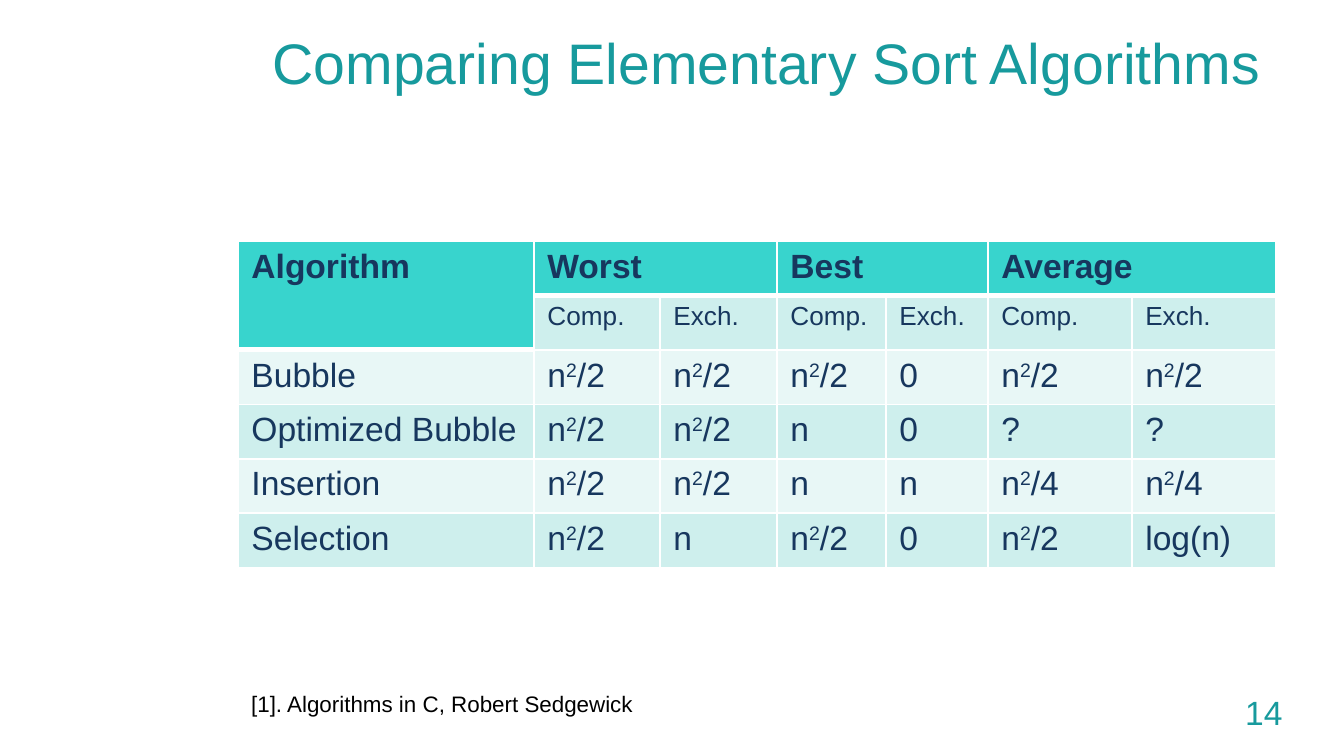
"""Build the slide that compares elementary sort algorithms."""
from dataclasses import dataclass

from lxml import etree
from pptx import Presentation
from pptx.dml.color import RGBColor
from pptx.enum.text import MSO_ANCHOR, MSO_AUTO_SIZE, PP_ALIGN
from pptx.oxml.ns import qn
from pptx.util import Pt

MIDDLE, TOP = MSO_ANCHOR.MIDDLE, MSO_ANCHOR.TOP
LEFT = PP_ALIGN.LEFT
NO_FIT = MSO_AUTO_SIZE.NONE
EMU_PER_PX = 914400 / 134.4
TITLE_ONLY_LAYOUT = 5

GROUPS = ["Worst", "Best", "Average"]
MEASURES = ["Comp.", "Exch."]
RESULTS = [
    ["Bubble", "n²/2", "n²/2", "n²/2", "0", "n²/2", "n²/2"],
    ["Optimized Bubble", "n²/2", "n²/2", "n", "0", "?", "?"],
    ["Insertion", "n²/2", "n²/2", "n", "n", "n²/4", "n²/4"],
    ["Selection", "n²/2", "n", "n²/2", "0", "n²/2", "log(n)"],
]
COLUMN_WIDTHS = [296, 126, 117, 109, 102, 144, 144]


@dataclass(frozen=True)
class Theme:
    """Colours, font and type sizes of the slide."""
    font: str = "Arial"
    accent: str = "179A9D"
    ink: str = "17375E"
    black: str = "000000"
    white: str = "FFFFFF"
    header: str = "38D4CD"
    bands: tuple = ("CEEFED", "E8F7F6")
    title_size: float = 30.6
    body_size: int = 18
    measure_size: int = 14
    note_size: int = 12
    line: int = 1
    heavy_line: int = 3


def px(length):
    """Convert pixels to EMU."""
    return round(length * EMU_PER_PX)


def write(frame, text, *, font, size, color, bold=False, anchor=TOP):
    """Write one formatted paragraph, raising each ² as a superscript 2."""
    frame.vertical_anchor = anchor
    paragraph = frame.paragraphs[0]
    paragraph.alignment = LEFT
    for part in text.replace("²", "|²|").split("|"):
        run = paragraph.add_run()
        run.text = part.replace("²", "2")
        run.font.name = font
        run.font.size = Pt(size)
        run.font.bold = bold
        run.font.color.rgb = RGBColor.from_string(color)
        if part == "²":
            run.font._element.set("baseline", "30000")


class SlideBuilder:
    """Holds the theme and the current slide."""

    def __init__(self, slide, theme):
        self.slide = slide
        self.theme = theme

    def title(self, text, left, top, width, height):
        """Place and fill the title placeholder."""
        shape = self.slide.shapes.title
        shape.left, shape.top = px(left), px(top)
        shape.width, shape.height = px(width), px(height)
        shape.text_frame.auto_size = NO_FIT
        write(shape.text_frame, text, font=self.theme.font, size=self.theme.title_size,
              color=self.theme.accent, anchor=MIDDLE)

    def label(self, text, left, top, width, height, size, color):
        """Add a text box."""
        box = self.slide.shapes.add_textbox(px(left), px(top), px(width), px(height))
        box.text_frame.word_wrap = True
        write(box.text_frame, text, font=self.theme.font, size=size, color=color)

    def cell(self, cell, fill, bottom):
        """Set the borders and fill of a table cell."""
        properties = cell._tc.get_or_add_tcPr()
        sides = {"L": self.theme.line, "R": self.theme.line, "T": self.theme.line, "B": bottom}
        for side, width in sides.items():
            line = etree.SubElement(properties, qn(f"a:ln{side}"), w=str(Pt(width)))
            solid = etree.SubElement(line, qn("a:solidFill"))
            etree.SubElement(solid, qn("a:srgbClr"), val=self.theme.white)
        cell.fill.solid()
        cell.fill.fore_color.rgb = RGBColor.from_string(fill)

    def table(self, rows, left, top, height, widths):
        """Add the table with its two header rows and banded results."""
        theme = self.theme
        table = self.slide.shapes.add_table(
            len(rows), len(widths), px(left), px(top), px(sum(widths)), px(height)).table
        table.first_row = table.horz_banding = False
        for column, width in zip(table.columns, widths):
            column.width = px(width)
        for row_index, row in enumerate(rows):
            for column_index, text in enumerate(row):
                cell = table.cell(row_index, column_index)
                header = row_index == 0 or (row_index == 1 and column_index == 0)
                self.cell(cell, theme.header if header else theme.bands[(row_index + 1) % 2],
                          theme.heavy_line if header else theme.line)
                if text:
                    write(cell.text_frame, text, font=theme.font, color=theme.ink, bold=header,
                          size=theme.measure_size if row_index == 1 else theme.body_size,
                          anchor=MIDDLE if header and column_index == 0 else TOP)
        table.cell(0, 0).merge(table.cell(1, 0))
        for first in range(1, len(widths), len(MEASURES)):
            table.cell(0, first).merge(table.cell(0, first + len(MEASURES) - 1))


def main():
    """Build and save the presentation."""
    presentation = Presentation()
    presentation.slide_width, presentation.slide_height = px(1344), px(756)
    slide = presentation.slides.add_slide(presentation.slide_layouts[TITLE_ONLY_LAYOUT])
    theme = Theme()
    builder = SlideBuilder(slide, theme)

    group_row = ["Algorithm"]
    for group in GROUPS:
        group_row += [group, ""]
    measure_row = [""] + MEASURES * len(GROUPS)

    builder.label("14", 1232, 685, 85, 54, theme.body_size, theme.accent)
    builder.title("Comparing Elementary Sort Algorithms", 259, 19, 1085, 85)
    builder.table([group_row, measure_row, *RESULTS], 238, 241, 327, COLUMN_WIDTHS)
    builder.label("[1]. Algorithms in C, Robert Sedgewick", 238, 684, 879, 40,
                  theme.note_size, theme.black)
    presentation.save("out.pptx")


if __name__ == "__main__":
    main()
